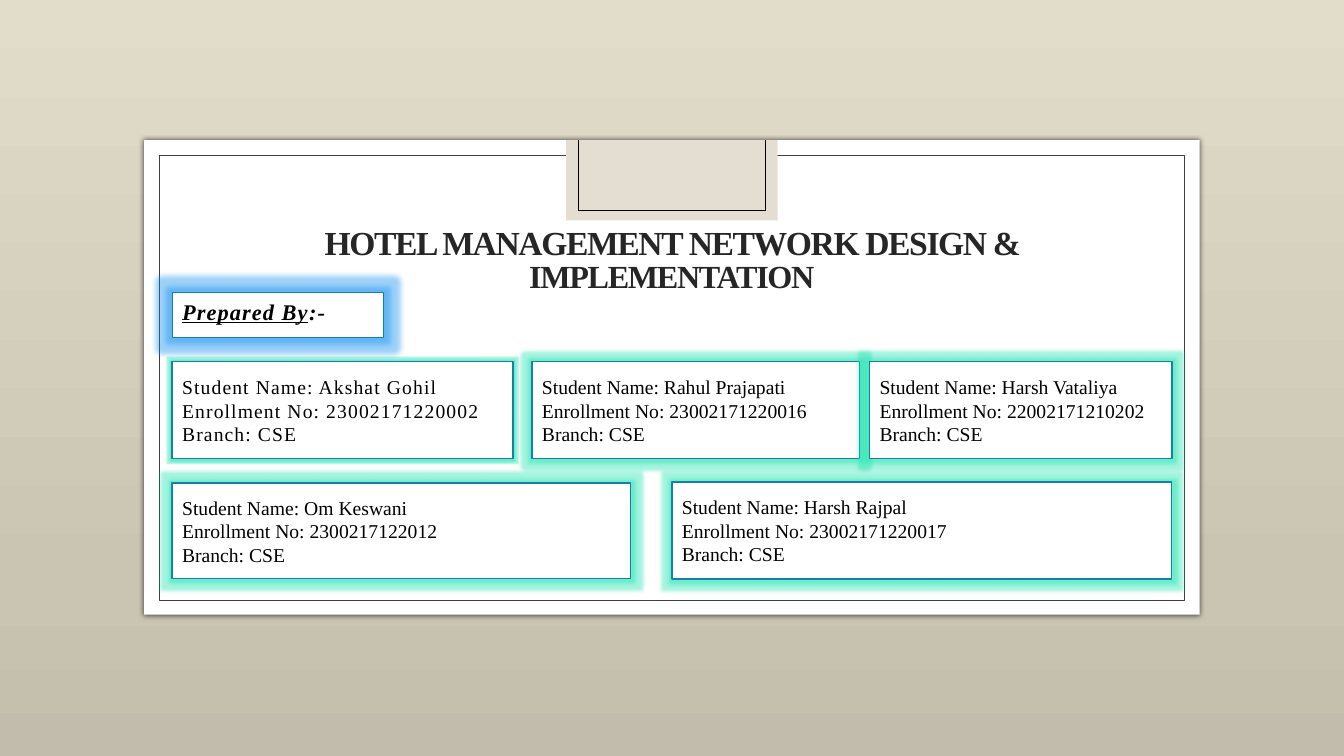
from copy import deepcopy

from lxml import etree
from pptx import Presentation
from pptx.dml.color import RGBColor
from pptx.enum import shapes as es, text as et
from pptx.oxml.ns import qn
from pptx.util import Pt


def rgb(code):
    return RGBColor.from_string(code)


def effect(shape, kind=None, color="000000", alpha=100, **attrs):
    """Give the shape one glow or shadow, or an empty effect list."""
    props = shape._element.spPr
    for old in props.findall(qn("a:effectLst")):
        props.remove(old)
    group = etree.SubElement(props, qn("a:effectLst"))
    if kind:
        node = etree.SubElement(group, qn("a:" + kind),
                                {k: str(int(Pt(v))) for k, v in attrs.items()})
        tint = etree.SubElement(node, qn("a:srgbClr"), val=color)
        etree.SubElement(tint, qn("a:alpha"), val=str(alpha * 1000))


def write(para, text, size=14, color="000000", bold=False, italic=False,
          under=False, track=0):
    run = para.add_run()
    run.text = text
    font = run.font
    font.name, font.size = "Times New Roman", Pt(size)
    font.bold, font.italic, font.underline = bold, italic, under
    font.color.rgb = rgb(color)
    if track:
        run._r.get_or_add_rPr().set("spc", str(round(track * 100)))


class Deck:
    ink = "000000"
    edge = "1580A9"
    green = "18E4AE"
    blue = "0A8DF0"

    def __init__(self, slide):
        self.slide = slide

    def ground(self, stops):
        """Fill the background with a gradient from top to bottom."""
        fill = self.slide.background.fill
        fill.gradient()
        fill.gradient_angle = 270
        group = next(self.slide._element.iter(qn("a:gsLst")))
        group.insert(1, deepcopy(group[0]))
        for stop, (place, color) in zip(fill.gradient_stops, stops):
            stop.position = place
            stop.color.rgb = rgb(color)

    def rect(self, x, y, w, h, fill=None, line=None, width=0.5):
        box = self.slide.shapes.add_shape(
            es.MSO_SHAPE.RECTANGLE, Pt(x), Pt(y), Pt(w), Pt(h))
        box.shadow.inherit = False
        if fill:
            box.fill.solid()
            box.fill.fore_color.rgb = rgb(fill)
        else:
            box.fill.background()
        if line:
            box.line.color.rgb = rgb(line)
            box.line.width = Pt(width)
        else:
            box.line.fill.background()
        return box

    def line(self, x1, y1, x2, y2):
        rule = self.slide.shapes.add_connector(
            es.MSO_CONNECTOR.STRAIGHT, Pt(x1), Pt(y1), Pt(x2), Pt(y2))
        rule.line.color.rgb = rgb(self.ink)
        rule.line.width = Pt(0.5)
        effect(rule)

    def title(self, x, y, w, h, *parts):
        box = self.slide.shapes.add_textbox(Pt(x), Pt(y), Pt(w), Pt(h))
        frame = box.text_frame
        frame.word_wrap = True
        frame.margin_left = frame.margin_right = Pt(20)
        frame.vertical_anchor = et.MSO_ANCHOR.MIDDLE
        para = frame.paragraphs[0]
        para.alignment = et.PP_ALIGN.CENTER
        para.line_spacing = 0.85
        for text, size in parts:
            write(para, text, size=size, color="262626", bold=True, track=-1)

    def label(self, x, y, w, h):
        box = self.rect(x, y, w, h, "FFFFFF", "1482AC", 0.75)
        effect(box, "glow", self.blue, 40, rad=8)
        frame = box.text_frame
        frame.vertical_anchor = et.MSO_ANCHOR.TOP
        para = frame.paragraphs[0]
        para.alignment = et.PP_ALIGN.LEFT
        look = dict(size=16, bold=True, italic=True, track=0.8)
        write(para, "Prepared By", under=True, **look)
        write(para, ":-", **look)

    def card(self, x, y, w, h, name, number, glow=5, track=0):
        """Draw one student's box with its three lines."""
        box = self.rect(x, y, w, h, "FFFFFF", self.edge, 1)
        effect(box, "glow", self.green, 40, rad=glow)
        frame = box.text_frame
        frame.word_wrap = True
        frame.vertical_anchor = et.MSO_ANCHOR.MIDDLE
        rows = (f"Student Name: {name}", f"Enrollment No: {number}",
                "Branch: CSE")
        for i, row in enumerate(rows):
            para = frame.add_paragraph() if i else frame.paragraphs[0]
            para.alignment = et.PP_ALIGN.LEFT
            para.line_spacing = 1.0
            write(para, row, track=track)


def main():
    prs = Presentation()
    prs.slide_width, prs.slide_height = Pt(960), Pt(540)
    deck = Deck(prs.slides.add_slide(prs.slide_layouts[6]))
    deck.ground([(0, "E2DCCA"), (0.77, "CAC4B2"), (1, "C2BCAC")])

    top = 100
    sheet = deck.rect(103, top, 754, 339, "FFFFFF")
    effect(sheet, "outerShdw", alpha=66, blurRad=4, dist=0)
    deck.rect(113.8, 110.9, 732.4, 317.8, line="404040")
    deck.rect(404.4, top, 151.2, 57.4, "E3DED1")
    west, east, low = 413.3, 546.7, 150.4
    for x in (west, east):
        deck.line(x, top, x, low)
    deck.line(west, low, east, low)

    left = 123
    deck.title(left, 152.6, 714, 68.4,
               ("HOTEL MANAGEMENT NETWORK DESIGN & ", 24),
               ("IMPLEMENTATION", 23))
    first, second, high = 258.4, 344.4, 69.2
    deck.card(left, first, 243.4, high, "Akshat Gohil", "23002171220002",
              glow=2, track=0.8)
    deck.card(left, second + 0.6, 327.6, 68.4, "Om Keswani", "2300217122012")
    deck.card(380, first, 234, high, "Rahul Prajapati", "23002171220016")
    deck.card(480, second, 357, high, "Harsh Rajpal", "23002171220017")
    deck.label(left, 209.2, 151.2, 32)
    deck.card(621.2, first, 216, high, "Harsh Vataliya", "22002171210202")
    prs.save("out.pptx")


if __name__ == "__main__":
    main()
